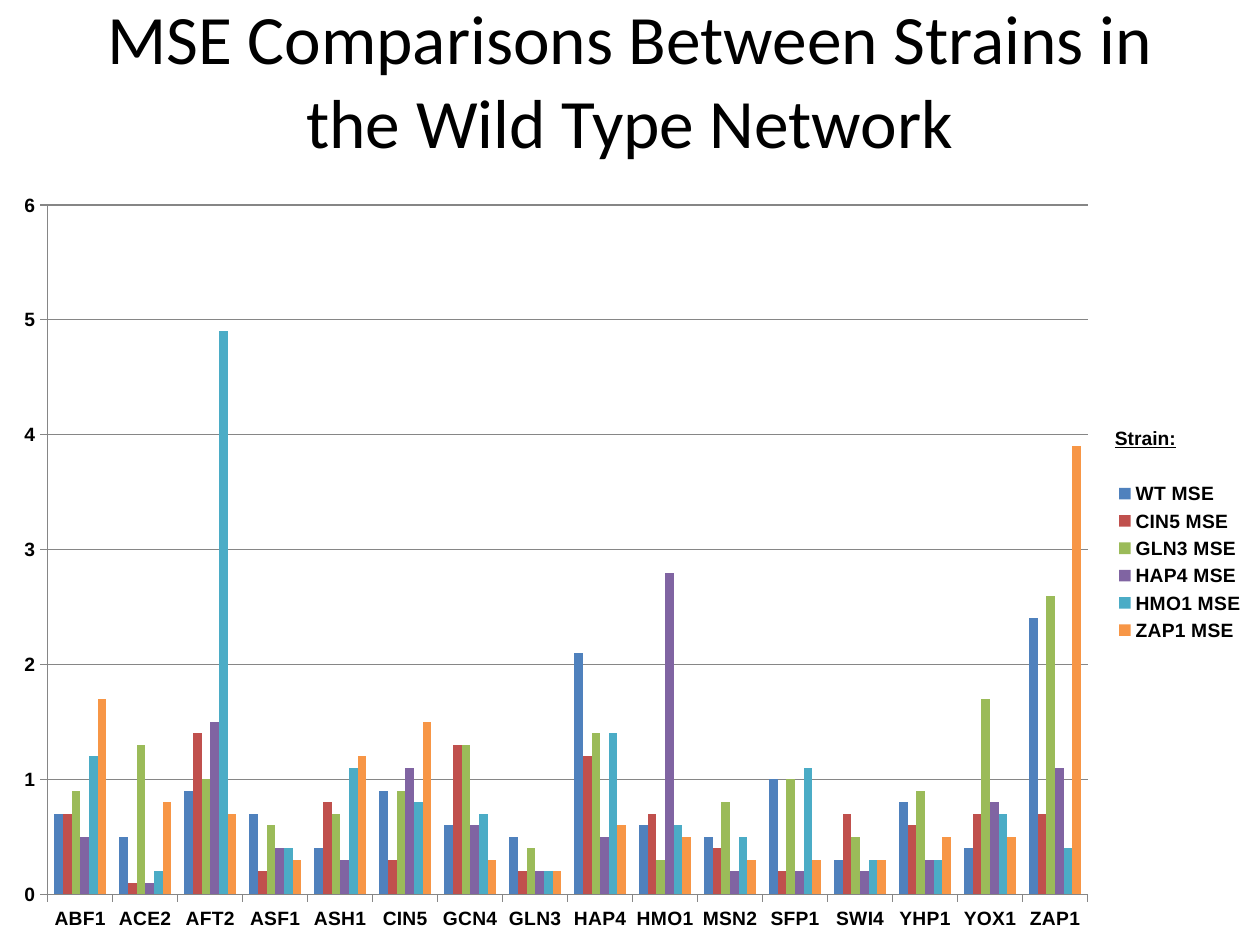
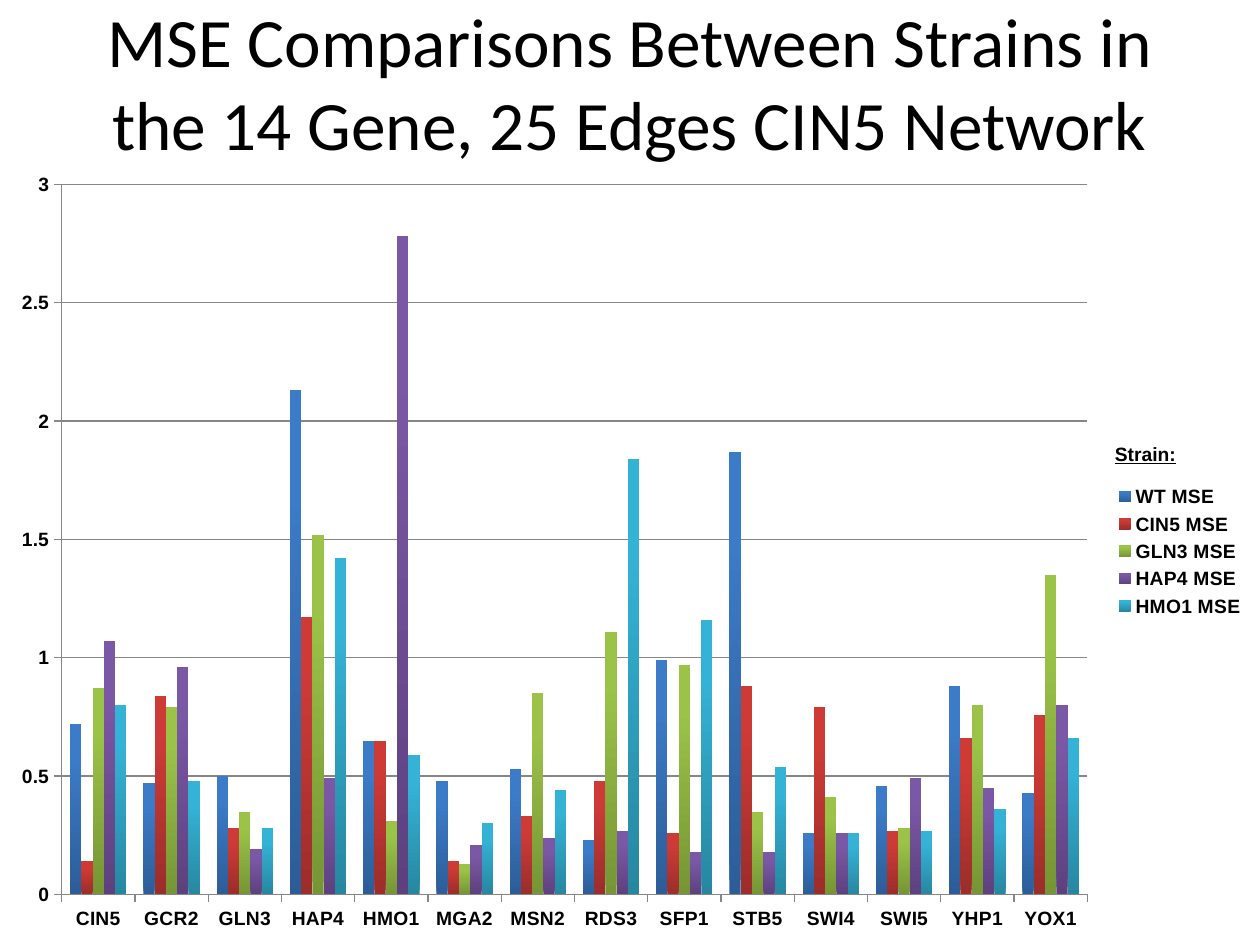
import pptx
import pptx.util
import pptx.chart.data
import pptx.dml.color
import pptx.enum.chart
import pptx.enum.text
import pptx.oxml

Pt = pptx.util.Pt
enums = pptx.enum.chart
align = pptx.enum.text

deck = pptx.Presentation()
deck.slide_width = pptx.util.Inches(10)
deck.slide_height = pptx.util.Inches(7.5)
wide, high = deck.slide_width / 100, deck.slide_height / 100


def tint(code):
    return pptx.dml.color.RGBColor.from_string(code)


def label(page, place, text, look, **frame):
    """Add a text box; place is in percent of the slide."""
    left, top, width, height = place
    box = page.shapes.add_textbox(int(left * wide), int(top * high),
                                  int(width * wide), int(height * high))
    for key, value in frame.items():
        setattr(box.text_frame, key, value)
    para = box.text_frame.paragraphs[0]
    para.alignment = look["align"]
    run = para.add_run()
    run.text = text
    for key, value in look["font"].items():
        setattr(run.font, key, value)
    run.font.color.rgb = tint("000000")


# Shared styles
head = {"align": align.PP_ALIGN.CENTER,
        "font": {"name": "Calibri", "size": Pt(39.6)}}
small = {"name": "Arial", "size": Pt(11), "bold": True}
key_look = {"align": align.PP_ALIGN.LEFT, "font": {**small, "underline": True}}
grey = "868686"
flat = ["4F81BD", "C0504D", "9BBB59", "8064A2", "4BACC6", "F79646"]
shade = [("2C5D98", "3C7BC7"), ("9B2D2A", "CE3B37"), ("769535", "9BC348"),
         ("5D417E", "7B58A6"), ("2787A0", "34B3D6")]

# Slide contents: places in percent of the slide, plot in shares of the chart
pages = [
    {
        "title": "MSE Comparisons Between Strains in the Wild Type Network",
        "top": 0,
        "chart": (0, 18.93, 99.8, 81.07),
        "plot": {"x": 0.038, "y": 0.034, "w": 0.827, "h": 0.9},
        "key": 44.4,
        "scale": {"maximum_scale": 6, "major_unit": 1},
        "fills": flat,
        "genes": "ABF1 ACE2 AFT2 ASF1 ASH1 CIN5 GCN4 GLN3 "
                 "HAP4 HMO1 MSN2 SFP1 SWI4 YHP1 YOX1 ZAP1",
        "strains": {
            "WT": [0.7, 0.5, 0.9, 0.7, 0.4, 0.9, 0.6, 0.5,
                   2.1, 0.6, 0.5, 1, 0.3, 0.8, 0.4, 2.4],
            "CIN5": [0.7, 0.1, 1.4, 0.2, 0.8, 0.3, 1.3, 0.2,
                     1.2, 0.7, 0.4, 0.2, 0.7, 0.6, 0.7, 0.7],
            "GLN3": [0.9, 1.3, 1, 0.6, 0.7, 0.9, 1.3, 0.4,
                     1.4, 0.3, 0.8, 1, 0.5, 0.9, 1.7, 2.6],
            "HAP4": [0.5, 0.1, 1.5, 0.4, 0.3, 1.1, 0.6, 0.2,
                     0.5, 2.8, 0.2, 0.2, 0.2, 0.3, 0.8, 1.1],
            "HMO1": [1.2, 0.2, 4.9, 0.4, 1.1, 0.8, 0.7, 0.2,
                     1.4, 0.6, 0.5, 1.1, 0.3, 0.3, 0.7, 0.4],
            "ZAP1": [1.7, 0.8, 0.7, 0.3, 1.2, 1.5, 0.3, 0.2,
                     0.6, 0.5, 0.3, 0.3, 0.3, 0.5, 0.5, 3.9],
        },
    },
    {
        "title": "MSE Comparisons Between Strains in "
                 "the 14 Gene, 25 Edges CIN5 Network",
        "top": 0.27,
        "chart": (-0.2, 16.67, 100, 83.33),
        "plot": {"x": 0.051, "y": 0.034, "w": 0.814, "h": 0.902},
        "key": 46.13,
        "scale": {"maximum_scale": 3, "major_unit": 0.5},
        "fills": shade,
        "genes": "CIN5 GCR2 GLN3 HAP4 HMO1 MGA2 MSN2 "
                 "RDS3 SFP1 STB5 SWI4 SWI5 YHP1 YOX1",
        "strains": {
            "WT": [0.72, 0.47, 0.5, 2.13, 0.65, 0.48, 0.53,
                   0.23, 0.99, 1.87, 0.26, 0.46, 0.88, 0.43],
            "CIN5": [0.14, 0.84, 0.28, 1.17, 0.65, 0.14, 0.33,
                     0.48, 0.26, 0.88, 0.79, 0.27, 0.66, 0.76],
            "GLN3": [0.87, 0.79, 0.35, 1.52, 0.31, 0.13, 0.85,
                     1.11, 0.97, 0.35, 0.41, 0.28, 0.8, 1.35],
            "HAP4": [1.07, 0.96, 0.19, 0.49, 2.78, 0.21, 0.24,
                     0.27, 0.18, 0.18, 0.26, 0.49, 0.45, 0.8],
            "HMO1": [0.8, 0.48, 0.28, 1.42, 0.59, 0.3, 0.44,
                     1.84, 1.16, 0.54, 0.26, 0.27, 0.36, 0.66],
        },
    },
]

for part in pages:
    page = deck.slides.add_slide(deck.slide_layouts[6])

    # Chart data
    data = pptx.chart.data.CategoryChartData()
    data.categories = part["genes"].split()
    for strain, values in part["strains"].items():
        data.add_series(f"{strain} MSE", values)
    left, top, width, height = part["chart"]
    chart = page.shapes.add_chart(
        enums.XL_CHART_TYPE.COLUMN_CLUSTERED, int(left * wide),
        int(top * high), int(width * wide), int(height * high), data).chart

    # Chart font and legend
    chart.has_title = False
    for key, value in small.items():
        setattr(chart.font, key, value)
    chart.font.color.rgb = tint("000000")
    chart.has_legend = True
    chart.legend.position = enums.XL_LEGEND_POSITION.RIGHT
    chart.legend.include_in_layout = False

    # Axes and grid
    rise = chart.value_axis
    for key, value in {"minimum_scale": 0, **part["scale"]}.items():
        setattr(rise, key, value)
    rise.has_major_gridlines = True
    rise.tick_labels.number_format = "General"
    rise.tick_labels.number_format_is_linked = False
    for axis in (chart.category_axis, rise):
        axis.major_tick_mark = enums.XL_TICK_MARK.OUTSIDE
    for item in (chart.category_axis, rise, rise.major_gridlines):
        item.format.line.color.rgb = tint(grey)
        item.format.line.width = Pt(0.75)

    # Columns, plain or shaded from the foot up
    plot = chart.plots[0]
    for key, value in {"gap_width": 150, "overlap": 0,
                       "vary_by_categories": False}.items():
        setattr(plot, key, value)
    for bars, paint in zip(plot.series, part["fills"]):
        fill = bars.format.fill
        if isinstance(paint, str):
            fill.solid()
            fill.fore_color.rgb = tint(paint)
        else:
            fill.gradient()
            fill.gradient_angle = 90
            for stop, code, spot in zip(fill.gradient_stops, paint, (0, 0.8)):
                stop.color.rgb = tint(code)
                stop.position = spot

    # Fixed inner plot area
    area = chart.element.find(".//{*}plotArea")
    for old in area.findall("{*}layout"):
        area.remove(old)
    sizes = "".join(f'<c:{k} val="{v}"/>' for k, v in part["plot"].items())
    area.insert(0, pptx.oxml.parse_xml(
        '<c:layout xmlns:c="http://schemas.openxmlformats.org/drawingml/2006/'
        'chart"><c:manualLayout><c:layoutTarget val="inner"/>'
        '<c:xMode val="edge"/><c:yMode val="edge"/>'
        f'{sizes}</c:manualLayout></c:layout>'))

    # Title and legend heading
    label(page, (5, part["top"], 90, 16.67), part["title"], head,
          word_wrap=True, vertical_anchor=align.MSO_ANCHOR.MIDDLE)
    label(page, (87.5, part["key"], 11.1, 3.87), "Strain:", key_look,
          word_wrap=True, auto_size=align.MSO_AUTO_SIZE.SHAPE_TO_FIT_TEXT)

deck.save("out.pptx")
